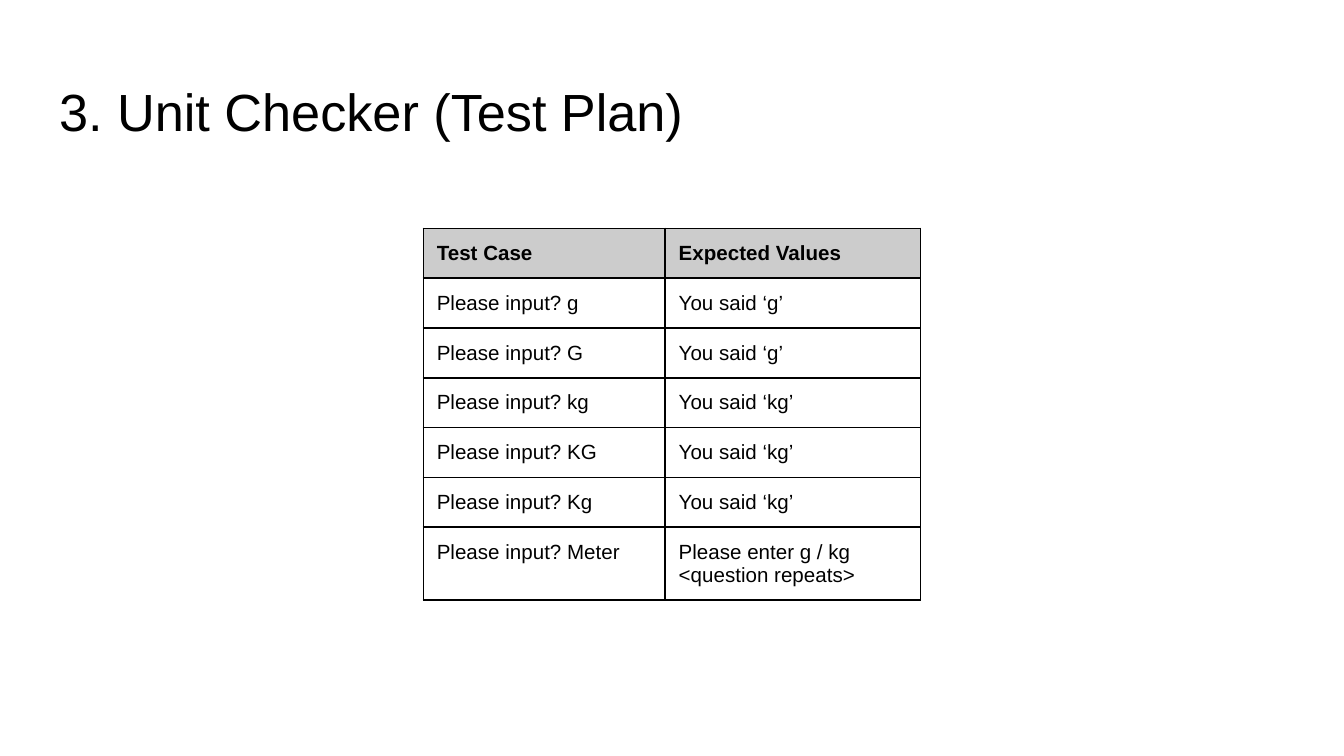
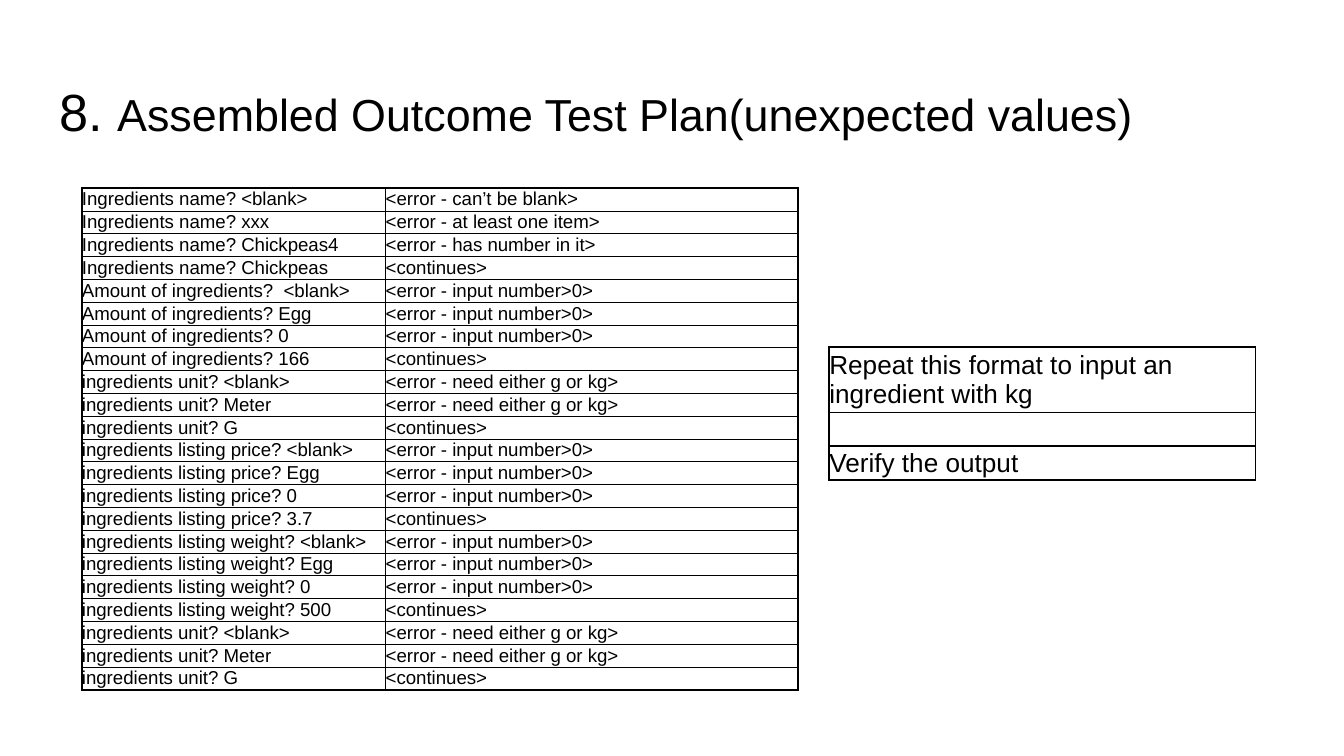
import pptx
import pptx.util
import pptx.dml.color
import pptx.enum.text
import pptx.oxml.ns
from lxml import etree

Inches = pptx.util.Inches
Pt = pptx.util.Pt
qn = pptx.oxml.ns.qn

BLACK = pptx.dml.color.RGBColor(0x00, 0x00, 0x00)
HEADER_GREY = pptx.dml.color.RGBColor(0xCC, 0xCC, 0xCC)
FONT = "Arial"
TOP = pptx.enum.text.MSO_ANCHOR.TOP
MIDDLE = pptx.enum.text.MSO_ANCHOR.MIDDLE

UNIT_CHECKER_TITLE = [("3. Unit Checker (Test Plan)", 28)]
UNIT_CHECKS = [
    ("Test Case", "Expected Values"),
    ("Please input? g", "You said ‘g’"),
    ("Please input? G", "You said ‘g’"),
    ("Please input? kg", "You said ‘kg’"),
    ("Please input? KG", "You said ‘kg’"),
    ("Please input? Kg", "You said ‘kg’"),
    ("Please input? Meter", "Please enter g / kg <question repeats>"),
]

OUTCOME_TITLE = [("8. ", 28), ("Assembled Outcome Test Plan(unexpected values)", 24)]
NEXT_STEPS = [
    ("Repeat this format to input an ingredient with kg",),
    ("",),
    ("Verify the output",),
]
CONTINUES = "<continues>"
NUMBER_ERROR = "<error - input number>0>"
UNIT_ERROR = "<error - need either g or kg>"
UNIT_ANSWERS = [("<blank>", UNIT_ERROR), ("Meter", UNIT_ERROR), ("G", CONTINUES)]


def number_answers(valid, blank="<blank>"):
    return [(wrong, NUMBER_ERROR) for wrong in (blank, "Egg", "0")] + [(valid, CONTINUES)]


QUESTIONS = [
    ("Ingredients name?", [
        ("<blank>", "<error - can’t be blank>"),
        ("xxx", "<error - at least one item>"),
        ("Chickpeas4", "<error - has number in it>"),
        ("Chickpeas", CONTINUES),
    ]),
    ("Amount of ingredients?", number_answers("166", " <blank>")),
    ("ingredients unit?", UNIT_ANSWERS),
    ("ingredients listing price?", number_answers("3.7")),
    ("ingredients listing weight?", number_answers("500")),
    ("ingredients unit?", UNIT_ANSWERS),
]
OUTCOMES = [
    (f"{question} {answer}", outcome)
    for question, answers in QUESTIONS
    for answer, outcome in answers
]


def style_font(font, size, bold=False):
    font.name = FONT
    font.size = Pt(size)
    font.bold = bold
    font.color.rgb = BLACK


def add_slide(deck, title_parts, width):
    slide = deck.slides.add_slide(deck.slide_layouts[5])
    title = slide.shapes.title
    title.left, title.top = Inches(0.34), Inches(0.49)
    title.width, title.height = Inches(width), Inches(0.63)
    frame = title.text_frame
    frame.auto_size = pptx.enum.text.MSO_AUTO_SIZE.NONE
    frame.word_wrap = True
    frame.vertical_anchor = TOP
    frame.margin_left = frame.margin_right = Inches(0.1)
    frame.margin_top = frame.margin_bottom = Inches(0.1)
    heading = frame.paragraphs[0]
    heading.alignment = pptx.enum.text.PP_ALIGN.LEFT
    for text, size in title_parts:
        part = heading.add_run()
        part.text = text
        style_font(part.font, size)
    return slide


def add_border(cell, side, width):
    line = etree.SubElement(cell._tc.get_or_add_tcPr(), qn(f"a:ln{side}"), w=str(Pt(width)))
    fill = etree.SubElement(line, qn("a:solidFill"))
    etree.SubElement(fill, qn("a:srgbClr"), val=str(BLACK))


def add_grid(slide, rows, left, top, widths, heights, size,
             inset=0, anchor=MIDDLE, header=False, inner=0.5, right=1):
    last_row, last_column = len(rows) - 1, len(widths) - 1
    table = slide.shapes.add_table(
        len(rows), len(widths), Inches(left), Inches(top),
        Inches(sum(widths)), Inches(sum(heights))).table
    table.first_row = table.horz_banding = False
    for column, width in zip(table.columns, widths):
        column.width = Inches(width)
    for r, (texts, height) in enumerate(zip(rows, heights)):
        table.rows[r].height = Inches(height)
        for c, text in enumerate(texts):
            cell = table.cell(r, c)
            cell.margin_left = cell.margin_right = Inches(inset)
            cell.margin_top = cell.margin_bottom = Inches(inset)
            cell.vertical_anchor = anchor
            add_border(cell, "L", inner if c else 1)
            add_border(cell, "R", inner if c < last_column else right)
            add_border(cell, "T", inner if r else 1)
            add_border(cell, "B", inner if r < last_row else 1)
            is_header = header and r == 0
            if is_header:
                cell.fill.solid()
                cell.fill.fore_color.rgb = HEADER_GREY
            else:
                cell.fill.background()
            paragraph = cell.text_frame.paragraphs[0]
            style_font(paragraph.font, size, is_header)
            if text:
                paragraph.text = text
            else:
                etree.SubElement(paragraph._p, qn("a:endParaRPr"), sz=str(size * 100))


def main():
    deck = pptx.Presentation()
    deck.slide_width = Inches(10)
    deck.slide_height = deck.slide_width * 9 // 16

    unit_checker = add_slide(deck, UNIT_CHECKER_TITLE, 9.32)
    add_grid(unit_checker, UNIT_CHECKS, 3.15, 1.7, [1.8, 1.9], [0.37] * 6 + [0.54], 11,
             inset=0.1, anchor=TOP, header=True, inner=1)

    outcome = add_slide(deck, OUTCOME_TITLE, 8.56)
    add_grid(outcome, NEXT_STEPS, 6.17, 2.58, [3.17], [0.49, 0.25, 0.25], 14,
             inner=1, right=0.5)
    add_grid(outcome, OUTCOMES, 0.61, 1.4, [2.26, 3.07], [0.17] * len(OUTCOMES), 10)

    deck.save("out.pptx")


if __name__ == "__main__":
    main()
